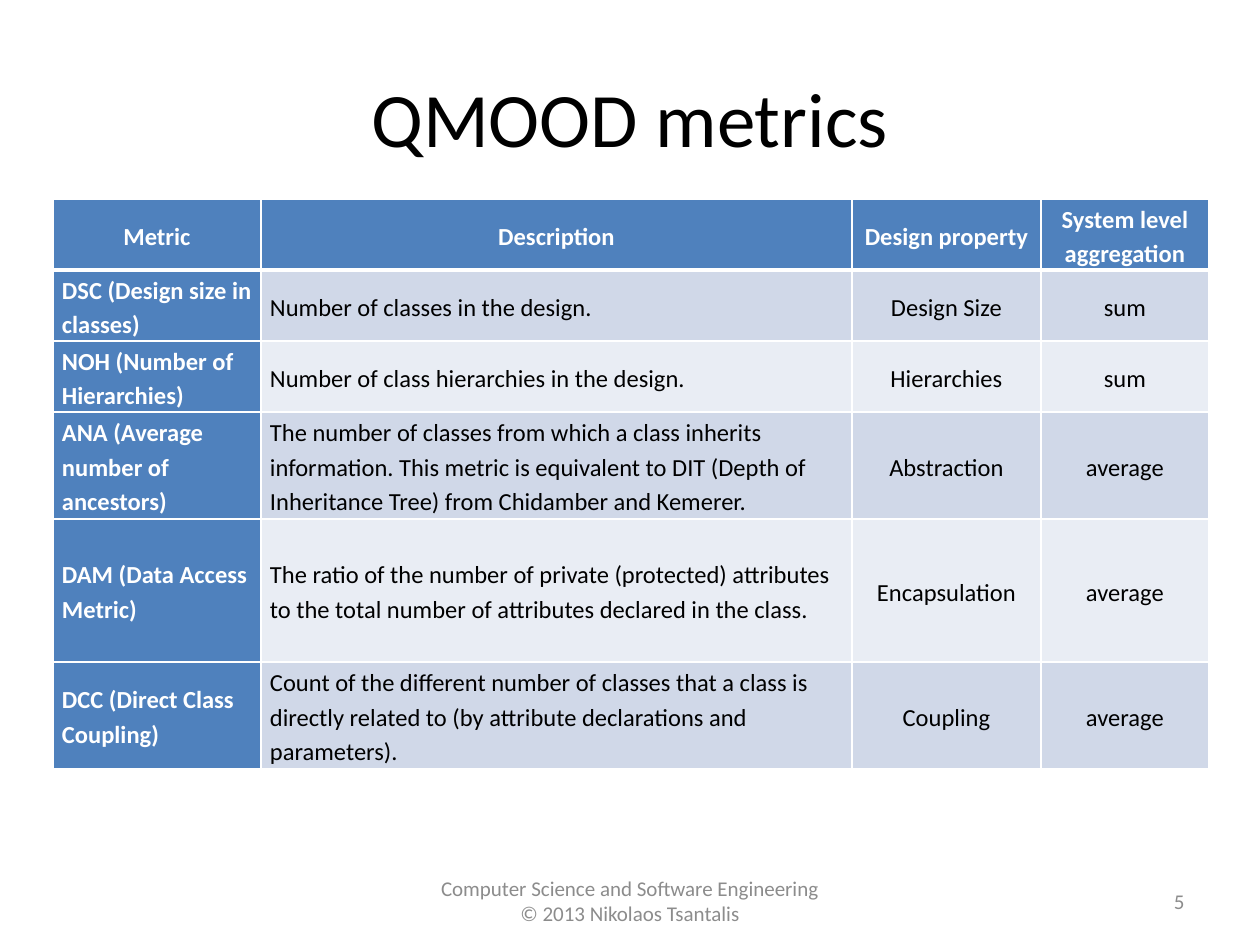
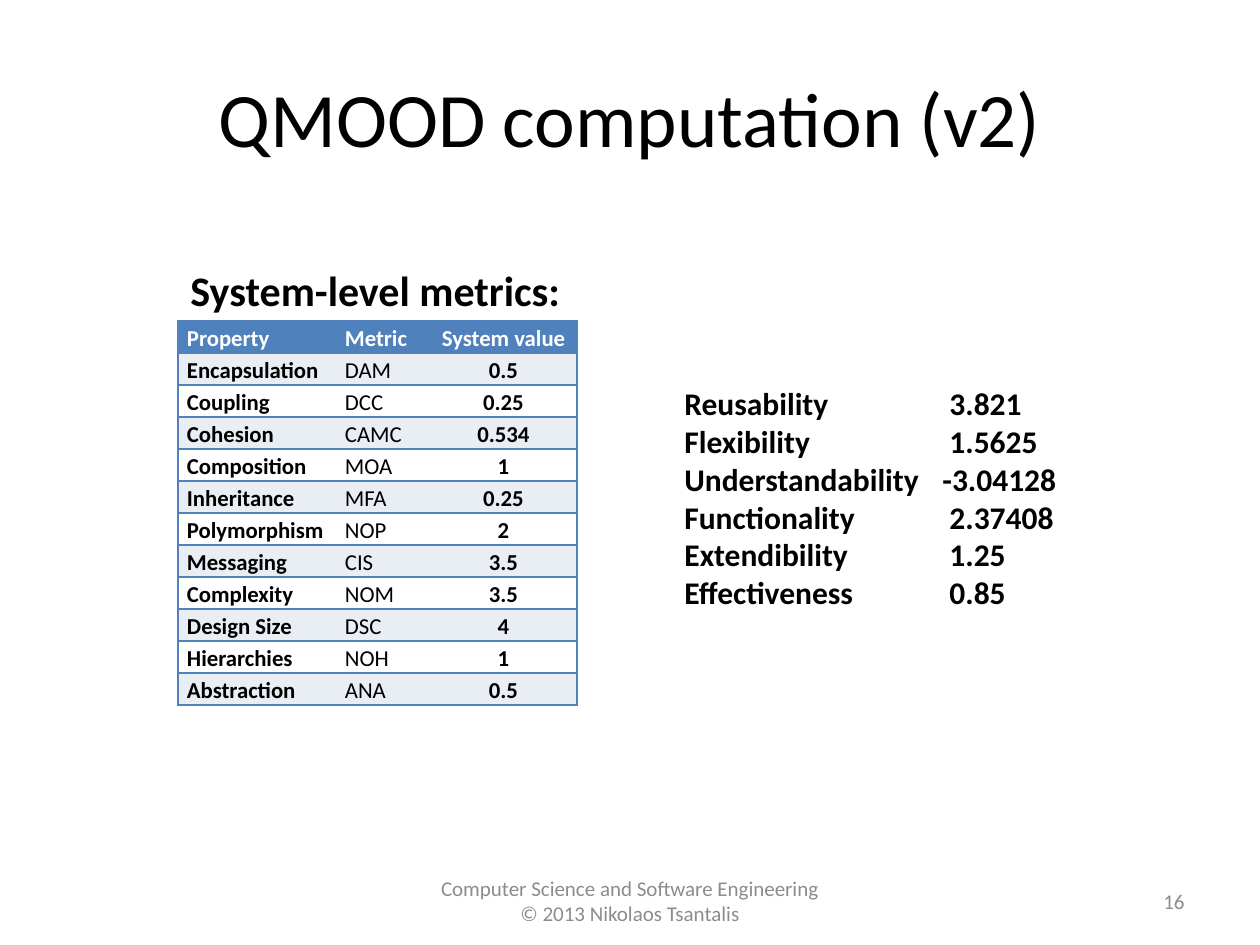
from lxml import etree
from pptx import Presentation
from pptx import util as u
from pptx.dml.color import RGBColor
from pptx.enum import text
from pptx.oxml import ns

FONT = "Calibri"
BLACK = RGBColor(0x00, 0x00, 0x00)
WHITE = RGBColor(0xFF, 0xFF, 0xFF)
GRAY = RGBColor(0x8C, 0x8C, 0x8C)
BLUE = RGBColor(0x4F, 0x81, 0xBD)
BAND_DARK = RGBColor(0xD0, 0xD8, 0xE8)
BAND_LIGHT = RGBColor(0xE9, 0xED, 0xF4)

LEFT, CENTER, RIGHT = (text.PP_ALIGN.LEFT, text.PP_ALIGN.CENTER,
                       text.PP_ALIGN.RIGHT)
MIDDLE, TOP = text.MSO_ANCHOR.MIDDLE, text.MSO_ANCHOR.TOP
PLAIN_TABLE_STYLE = "{2D5ABB26-0587-4C30-8999-92F81FD0307C}"

SLIDE_BOX = (0, 0, 1260, 945)
TITLE_BOX = (63, 38, 1134, 158)
FOOTER_BOX = (0, 876, 1260, 50)
NUMBER_BOX = (903, 876, 294, 50)

FOOTER_LINES = ["Computer Science and Software Engineering",
                "© 2013 Nikolaos Tsantalis"]

METRICS = [
    ("Metric", "Description", "Design property", "System level aggregation"),
    ("DSC (Design size in classes)", "Number of classes in the design.",
     "Design Size", "sum"),
    ("NOH (Number of Hierarchies)",
     "Number of class hierarchies in the design.", "Hierarchies", "sum"),
    ("ANA (Average number of ancestors)",
     "The number of classes from which a class inherits information. This "
     "metric is equivalent to DIT (Depth of Inheritance Tree) from Chidamber "
     "and Kemerer.", "Abstraction", "average"),
    ("DAM (Data Access Metric)",
     "The ratio of the number of private (protected) attributes to the total "
     "number of attributes declared in the class.",
     "Encapsulation", "average"),
    ("DCC (Direct Class Coupling)",
     "Count of the different number of classes that a class is directly "
     "related to (by attribute declarations and parameters).",
     "Coupling", "average"),
]

SYSTEM_VALUES = [
    ("Property", "Metric", "System value"),
    ("Encapsulation", "DAM", "0.5"),
    ("Coupling", "DCC", "0.25"),
    ("Cohesion", "CAMC", "0.534"),
    ("Composition", "MOA", "1"),
    ("Inheritance", "MFA", "0.25"),
    ("Polymorphism", "NOP", "2"),
    ("Messaging", "CIS", "3.5"),
    ("Complexity", "NOM", "3.5"),
    ("Design Size", "DSC", "4"),
    ("Hierarchies", "NOH", "1"),
    ("Abstraction", "ANA", "0.5"),
]

QUALITIES = [
    ("Reusability", "3.821"),
    ("Flexibility", "1.5625"),
    ("Understandability", "-3.04128"),
    ("Functionality", "2.37408"),
    ("Extendibility", "1.25"),
    ("Effectiveness", "0.85"),
]


def px(length):
    return u.Emu(round(length * 914400 / 126))


def style(para, size, color, bold=False, align=LEFT):
    para.alignment = align
    para.font.name = FONT
    para.font.size = u.Pt(size)
    para.font.color.rgb = color
    para.font.bold = bold


def add_text(page, box, lines, size, color, bold=False, align=LEFT,
             anchor=TOP):
    """Add an unwrapped text box and return its paragraphs."""
    frame = page.shapes.add_textbox(*map(px, box)).text_frame
    frame.word_wrap = False
    frame.vertical_anchor = anchor
    frame.text = "\n".join(lines)
    for para in frame.paragraphs:
        style(para, size, color, bold, align)
    return frame.paragraphs


def add_page(deck, title, number):
    """Add a slide with the shared title, footer and slide number."""
    page = deck.slides.add_slide(deck.slide_layouts[5])
    heading = page.shapes.title
    heading.left, heading.top, heading.width, heading.height = map(
        px, TITLE_BOX)
    heading.text_frame.text = title
    heading.text_frame.vertical_anchor = MIDDLE
    style(heading.text_frame.paragraphs[0], 44, BLACK, align=CENTER)
    add_text(page, FOOTER_BOX, FOOTER_LINES, 12, GRAY, align=CENTER,
             anchor=MIDDLE)
    add_text(page, NUMBER_BOX, [str(number)], 12, GRAY, align=RIGHT,
             anchor=MIDDLE)
    return page


def set_borders(cell, color, widths):
    """Draw the sides named in widths (L, R, T, B), given in points."""
    properties = cell._tc.get_or_add_tcPr()
    sides = [side for side in "LRTB" if side in widths]
    for position, side in enumerate(sides):
        line = etree.Element(ns.qn(f"a:ln{side}"),
                             w=str(u.Pt(widths[side])))
        fill = etree.SubElement(line, ns.qn("a:solidFill"))
        etree.SubElement(fill, ns.qn("a:srgbClr"), val=str(color))
        properties.insert(position, line)


def add_grid(page, left, top, columns, heights, rows):
    """Add an unstyled table and yield row, column and cell with its text."""
    frame = page.shapes.add_table(
        len(heights), len(columns), px(left), px(top),
        px(sum(columns)), px(sum(heights)))
    table = frame.table
    table._tbl.tblPr.find(ns.qn("a:tableStyleId")).text = PLAIN_TABLE_STYLE
    for column, width in zip(table.columns, columns):
        column.width = px(width)
    for row, height in zip(table.rows, heights):
        row.height = px(height)
    for r, values in enumerate(rows):
        for c, value in enumerate(values):
            cell = table.cell(r, c)
            cell.margin_left = cell.margin_right = px(9)
            cell.margin_top = cell.margin_bottom = 0
            cell.text = value
            cell.text_frame.paragraphs[0].line_spacing = 1.15
            yield r, c, cell


def fill_cell(cell, fill, size, color, bold, align, anchor):
    cell.fill.solid()
    cell.fill.fore_color.rgb = fill
    cell.vertical_anchor = anchor
    style(cell.text_frame.paragraphs[0], size, color, bold, align)


def add_metrics_table(page, left, top):
    columns = [208, 591, 189, 168]
    heights = [71, 71, 71, 107, 143, 107]
    for r, c, cell in add_grid(page, left, top, columns, heights, METRICS):
        label = r == 0 or c == 0
        band = BAND_DARK if r % 2 else BAND_LIGHT
        fill_cell(cell, BLUE if label else band, 14,
                  WHITE if label else BLACK, label,
                  CENTER if r == 0 or c > 1 else LEFT, MIDDLE)
        set_borders(cell, WHITE, {"L": 1, "R": 1, "T": 3 if r == 1 else 1,
                                  "B": 3 if r == 0 else 1})


def add_system_table(page, left, top):
    columns = [158, 94, 147]
    heights = [32] * len(SYSTEM_VALUES)
    outer_sides = {0: {"L": 1}, 2: {"R": 1}}
    for r, c, cell in add_grid(page, left, top, columns, heights,
                               SYSTEM_VALUES):
        band = BAND_LIGHT if r % 2 else WHITE
        fill_cell(cell, band if r else BLUE, 13, BLACK if r else WHITE,
                  r == 0 or c != 1, CENTER if c == 2 else LEFT, TOP)
        set_borders(cell, BLUE, {"T": 1, "B": 1, **outer_sides.get(c, {})})


def add_qualities(page, box):
    """List the quality scores, with digits aligned after any minus sign."""
    lines = [f"{name}\t{score}" for name, score in QUALITIES]
    paras = add_text(page, box, lines, 18, BLACK, bold=True)
    for para, (_, score) in zip(paras, QUALITIES):
        stop = 258 if score.startswith("-") else 265
        tabs = etree.SubElement(para._p.get_or_add_pPr(), ns.qn("a:tabLst"))
        etree.SubElement(tabs, ns.qn("a:tab"), pos=str(px(stop)), algn="l")
        # The schema puts tab stops ahead of the default run properties.
        tabs.getparent().find(ns.qn("a:defRPr")).addprevious(tabs)


def build_metrics_page(deck):
    page = add_page(deck, "QMOOD metrics", 5)
    add_metrics_table(page, 53, 199)


def build_computation_page(deck):
    page = add_page(deck, "QMOOD computation (v2)", 16)
    add_system_table(page, 178, 321)
    add_text(page, (178, 258, 399, 63), ["System-level metrics:"], 24, BLACK,
             bold=True)
    add_qualities(page, (672, 378, 399, 242))


def main():
    deck = Presentation()
    deck.slide_width, deck.slide_height = map(px, SLIDE_BOX[2:])
    build_metrics_page(deck)
    build_computation_page(deck)
    deck.save("out.pptx")


if __name__ == "__main__":
    main()
